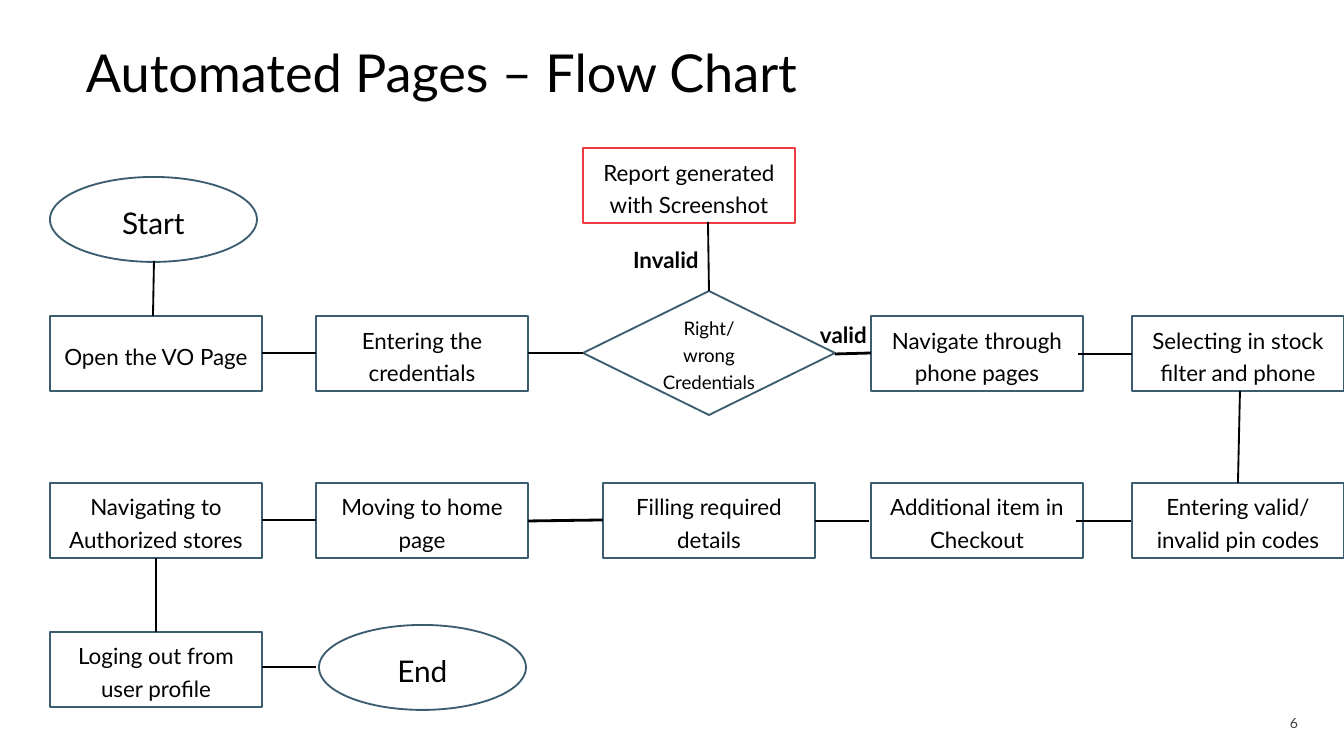
from dataclasses import dataclass

from lxml.etree import SubElement
from pptx import Presentation
from pptx.dml.color import RGBColor
from pptx.enum.shapes import MSO_CONNECTOR, MSO_SHAPE
from pptx.enum.text import MSO_ANCHOR, PP_ALIGN
from pptx.oxml.ns import qn
from pptx.util import Emu, Pt

EMU_PER_PX = 914400 / 134.4
FONT = "Lato"
COLORS = {
    "white": "FFFFFF",
    "ink": "010101",
    "step": "3C5D6F",
    "error": "EC3D41",
    "number": "404040",
}

COLS = (50, 316, 603, 871, 1132)
ROWS = (316, 483, 632)
BOX_W, BOX_H = 212, 75
OVAL_W, OVAL_H = 207, 85


@dataclass(frozen=True)
class Node:
    text: str
    x: int
    y: int
    w: int = BOX_W
    h: int = BOX_H
    kind: MSO_SHAPE = MSO_SHAPE.RECTANGLE
    size: float = 12
    border: str = "step"


@dataclass(frozen=True)
class Link:
    x1: int
    y1: int
    x2: int
    y2: int
    width: float = 1.5


@dataclass(frozen=True)
class Label:
    text: str
    x: int
    y: int
    w: int
    h: int
    size: float = 12
    color: str = "ink"
    bold: bool = False
    spacing: float = 1.2
    after: float = 8
    inset_left: int = 0
    inset_bottom: int = 0


NODES = (
    Node("Start", COLS[0], 177, OVAL_W, OVAL_H, MSO_SHAPE.OVAL, 16),
    Node("Open the VO Page", COLS[0], ROWS[0]),
    Node("Entering the credentials", COLS[1], ROWS[0]),
    Node("Right/ wrong Credentials", 583, 291, 252, 124, MSO_SHAPE.DIAMOND, 10),
    Node("Report generated with Screenshot", 583, 148, border="error"),
    Node("Navigate through phone pages", COLS[3], ROWS[0]),
    Node("Selecting in stock filter and phone", COLS[4], ROWS[0]),
    Node("Entering valid/ invalid pin codes", COLS[4], ROWS[1]),
    Node("Additional item in Checkout", COLS[3], ROWS[1]),
    Node("Filling required details", COLS[2], ROWS[1]),
    Node("Moving to home page", COLS[1], ROWS[1]),
    Node("Navigating to Authorized stores", COLS[0], ROWS[1]),
    Node("Loging out from user profile", COLS[0], ROWS[2]),
    Node("End", 319, 625, OVAL_W, OVAL_H, MSO_SHAPE.OVAL, 16),
)

LINKS = (
    Link(154, 261, 153, 316, 1),
    Link(262, 353, 316, 353),
    Link(528, 353, 583, 353),
    Link(835, 354, 871, 353),
    Link(1078, 354, 1132, 354),
    Link(262, 520, 316, 520),
    Link(528, 521, 603, 520),
    Link(815, 521, 869, 521),
    Link(1076, 521, 1131, 521),
    Link(1240, 391, 1238, 483, 1),
    Link(708, 222, 709, 291, 1),
    Link(156, 558, 156, 632, 1),
    Link(262, 667, 316, 667),
)

LABELS = (
    Label("6", 1284, 711, 37, 19, 7.5, "number", inset_left=6),
    Label("Automated Pages – Flow Chart", 86, 47, 1172, 85, 28,
          spacing=0.9, after=0, inset_bottom=27),
    Label("Invalid", 633, 241, 75, 30, bold=True),
    Label("valid", 820, 316, 75, 30, bold=True),
)


def px(value: int) -> Emu:
    return Emu(round(value * EMU_PER_PX))


def rgb(name: str) -> RGBColor:
    return RGBColor.from_string(COLORS[name])


def write(tf, text: str, size: float, color: str = "ink", bold: bool = False,
          spacing: float = 1.2, after: float = 8) -> None:
    tf.text = text
    tf.word_wrap = True
    p = tf.paragraphs[0]
    p.line_spacing = spacing
    p.space_after = Pt(after)
    font = p.runs[0].font
    font.name, font.size, font.bold = FONT, Pt(size), bold
    font.color.rgb = rgb(color)


def draw_node(s, node: Node) -> None:
    sp = s.shapes.add_shape(node.kind, px(node.x), px(node.y), px(node.w), px(node.h))
    sp.shadow.inherit = False
    sp.fill.solid()
    sp.fill.fore_color.rgb = rgb("white")
    sp.line.color.rgb = rgb(node.border)
    sp.line.width = Pt(1)
    tf = sp.text_frame
    write(tf, node.text, node.size)
    tf.vertical_anchor = MSO_ANCHOR.MIDDLE
    tf.paragraphs[0].alignment = PP_ALIGN.CENTER


def draw_link(s, link: Link) -> None:
    line = s.shapes.add_connector(MSO_CONNECTOR.STRAIGHT, px(link.x1), px(link.y1),
                                  px(link.x2), px(link.y2))
    line.line.color.rgb = rgb("ink")
    line.line.width = Pt(link.width)
    SubElement(line._element.spPr, qn("a:effectLst"))


def draw_label(s, label: Label) -> None:
    sp = s.shapes.add_textbox(px(label.x), px(label.y), px(label.w), px(label.h))
    tf = sp.text_frame
    tf.margin_left, tf.margin_bottom = px(label.inset_left), px(label.inset_bottom)
    tf.margin_top = tf.margin_right = 0
    write(tf, label.text, label.size, label.color, label.bold, label.spacing, label.after)


def main() -> None:
    prs = Presentation()
    prs.slide_width, prs.slide_height = px(1344), px(756)
    s = prs.slides.add_slide(prs.slide_layouts[6])
    for node in NODES:
        draw_node(s, node)
    for link in LINKS:
        draw_link(s, link)
    for label in LABELS:
        draw_label(s, label)
    prs.save("out.pptx")


if __name__ == "__main__":
    main()
